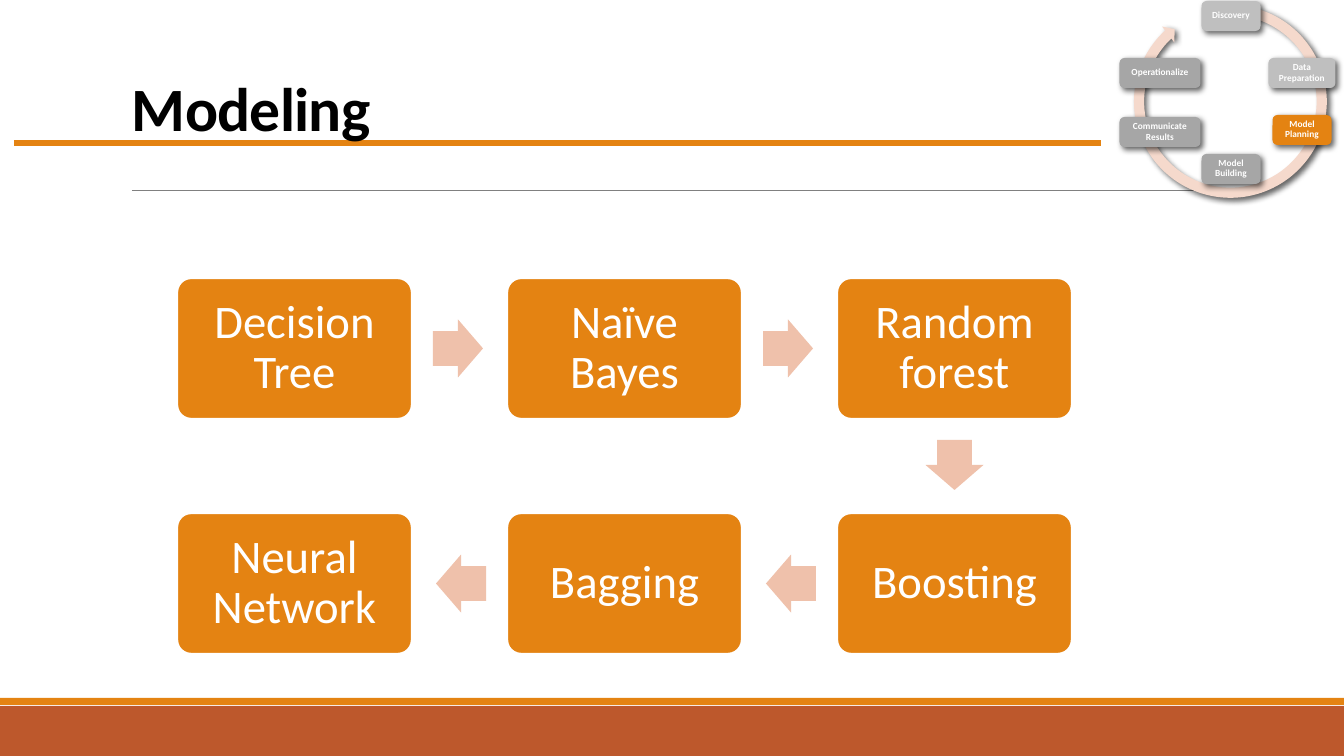
from lxml.etree import SubElement
from pptx import Presentation
from pptx.dml.color import RGBColor
from pptx.enum.shapes import MSO_CONNECTOR, MSO_SHAPE
from pptx.enum.text import MSO_ANCHOR, PP_ALIGN
from pptx.oxml.ns import qn
from pptx.util import Emu, Pt

SCALE = 9144000 / 1344
WIDTH, HEIGHT = 1344, 756
FONT = "Calibri"
ORANGE, RUST, WHITE, BLACK = "E48312", "BD582C", "FFFFFF", "000000"
LIGHT_GRAY, GRAY, RULE_GRAY = "BFBFBF", "A6A6A6", "808080"
ARROW, CYCLE = "EFC1AB", "F5D9CC"


def px(value):
    return Emu(round(value * SCALE))


def color(value):
    return RGBColor.from_string(value)


class SlideBuilder:
    def __init__(self, presentation):
        self.slide = presentation.slides.add_slide(presentation.slide_layouts[6])

    def shape(self, kind, left, top, width, height, fill,
              border=None, adjustments=(), rotation=0, shadow=False):
        shape = self.slide.shapes.add_shape(
            kind, px(left), px(top), px(width), px(height))
        shape.shadow.inherit = False
        shape.fill.solid()
        shape.fill.fore_color.rgb = color(fill)
        if border:
            shape.line.color.rgb = color(border)
            shape.line.width = Pt(1.25)
        else:
            shape.line.fill.background()
        for index, value in enumerate(adjustments):
            shape.adjustments[index] = value
        shape.rotation = rotation
        if shadow:
            self.add_shadow(shape)
        return shape

    def add_shadow(self, shape):
        effects = shape._element.spPr.find(qn("a:effectLst"))
        outer = SubElement(effects, qn("a:outerShdw"), blurRad=str(Pt(3)),
                           dist=str(Pt(2)), dir="2700000", rotWithShape="0")
        tint = SubElement(outer, qn("a:srgbClr"), val=BLACK)
        SubElement(tint, qn("a:alpha"), val="60000")

    def add_text(self, shape, text, size, font_color, bold=False,
                 align=PP_ALIGN.CENTER, margins=(0, 0)):
        frame = shape.text_frame
        frame.word_wrap = True
        frame.vertical_anchor = MSO_ANCHOR.MIDDLE
        frame.margin_left = frame.margin_right = px(margins[0])
        frame.margin_top = frame.margin_bottom = px(margins[1])
        paragraph = frame.paragraphs[0]
        paragraph.alignment = align
        paragraph.line_spacing = 0.9
        run = paragraph.add_run()
        run.text = text
        run.font.name = FONT
        run.font.size = Pt(size)
        run.font.bold = bold
        run.font.color.rgb = color(font_color)
        return run

    def title(self, text, left, top, width, height):
        box = self.slide.shapes.add_textbox(
            px(left), px(top), px(width), px(height))
        run = self.add_text(box, text, 33, BLACK, True, PP_ALIGN.LEFT, (10, 5))
        run.font._element.set("spc", "-40")

    def rule(self, left, right, y, line_color, weight):
        connector = self.slide.shapes.add_connector(
            MSO_CONNECTOR.STRAIGHT, px(left), px(y), px(right), px(y))
        connector.line.color.rgb = color(line_color)
        connector.line.width = Pt(weight)
        SubElement(connector._element.spPr, qn("a:effectLst"))

    def phase(self, text, center, top, width, fill):
        shape = self.shape(MSO_SHAPE.ROUNDED_RECTANGLE, center - width / 2, top,
                           width, 30, fill, shadow=True)
        self.add_text(shape, text, 5, WHITE, True, margins=(3, 3))

    def step(self, text, left, top, width, height):
        shape = self.shape(MSO_SHAPE.ROUNDED_RECTANGLE, left, top, width, height,
                           ORANGE, border=WHITE, adjustments=[0.1])
        self.add_text(shape, text, 25, WHITE, margins=(13, 13))

    def arrow(self, center_x, center_y, rotation):
        self.shape(MSO_SHAPE.RIGHT_ARROW, center_x - 25, center_y - 29, 50, 58,
                   ARROW, adjustments=[0.6, 0.5], rotation=rotation)


def main():
    presentation = Presentation()
    presentation.slide_width = px(WIDTH)
    presentation.slide_height = px(HEIGHT)
    builder = SlideBuilder(presentation)

    builder.shape(MSO_SHAPE.RECTANGLE, 0, 706, WIDTH, 50, RUST)
    builder.shape(MSO_SHAPE.RECTANGLE, 0, 698, WIDTH, 7, ORANGE)
    builder.rule(132, 1230, 191, RULE_GRAY, 0.5)
    builder.rule(14, 1101, 143, ORANGE, 3)
    builder.title("Modeling", 122, 32, 1108, 160)

    builder.shape(MSO_SHAPE.CIRCULAR_ARROW, 1129, 0, 203, 203, CYCLE,
                  adjustments=[0.05, 3.13, 146.34, 168.93, 0.05],
                  rotation=343.2, shadow=True)
    phases = [
        ("Discovery", 1231, 1, 59, LIGHT_GRAY),
        ("Data Preparation", 1302, 58, 67, LIGHT_GRAY),
        ("Model Planning", 1302, 115, 59, ORANGE),
        ("Model Building", 1231, 154, 59, GRAY),
        ("Communicate Results", 1160, 117, 81, GRAY),
        ("Operationalize", 1160, 58, 81, GRAY),
    ]
    for phase in phases:
        builder.phase(*phase)

    left, top, width, height = 177, 278, 235, 141
    column_step, row_step = 330, 235
    rows = [["Decision Tree", "Naïve Bayes", "Random forest"],
            ["Neural Network", "Bagging", "Boosting"]]
    for row, names in enumerate(rows):
        for column, name in enumerate(names):
            x = left + column * column_step
            y = top + row * row_step
            builder.step(name, x, y, width, height)
            if column < 2:
                builder.arrow(x + 281 + 3 * row, y + height / 2, 180 * row)
    builder.arrow(left + 2 * column_step + width / 2, 465, 90)

    presentation.save("out.pptx")


if __name__ == "__main__":
    main()
